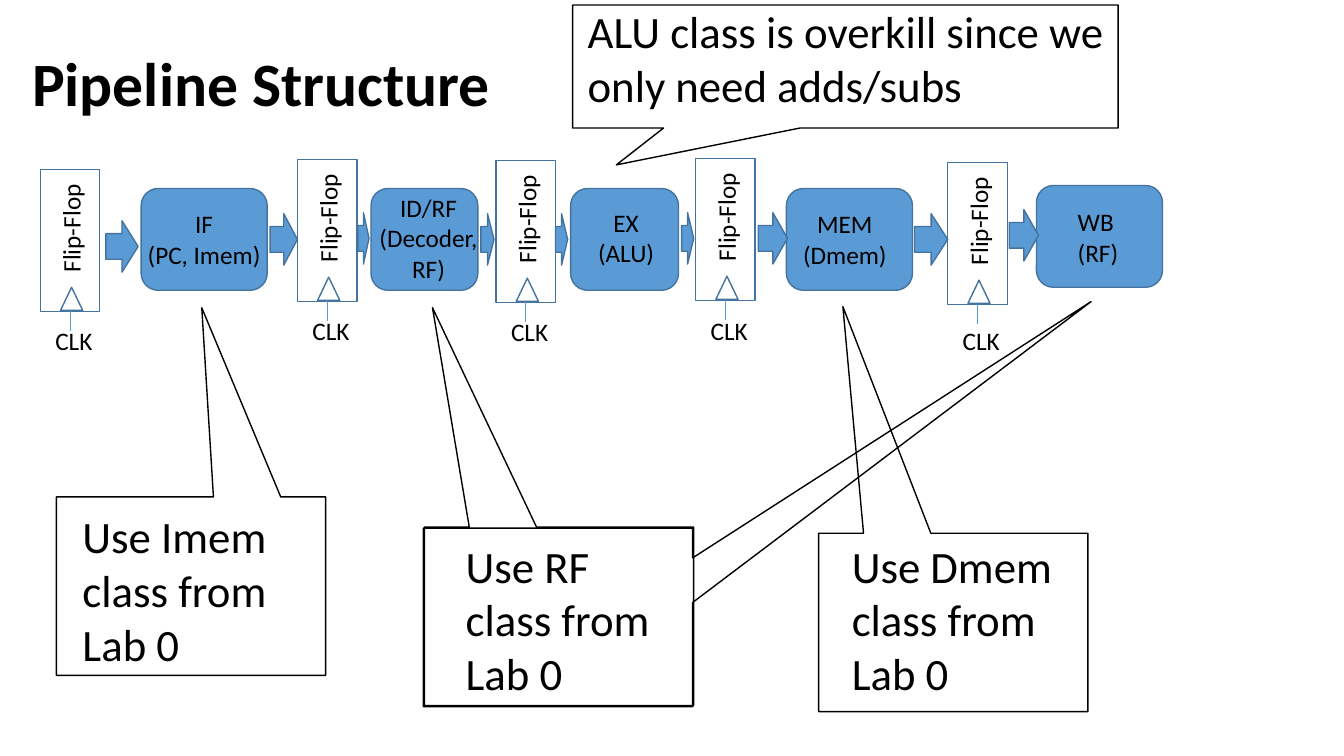
from lxml import etree
from pptx import Presentation
from pptx.dml.color import RGBColor
from pptx.enum import shapes, text
from pptx.oxml.ns import qn
from pptx.util import Inches, Pt

BLACK, BLUE, EDGE = "000000", "5B9BD5", "43739E"
Shape = shapes.MSO_SHAPE
LEFT, CENTER = text.PP_ALIGN.LEFT, text.PP_ALIGN.CENTER

deck = Presentation()
deck.slide_width, deck.slide_height = Inches(13.33), Inches(7.5)
page = deck.slides.add_slide(deck.slide_layouts[6])


def draw(kind, at, edge=EDGE, fill=None):
    shape = page.shapes.add_shape(kind, *map(Inches, at))
    shape.shadow.inherit = False
    if fill:
        shape.fill.solid()
        shape.fill.fore_color.rgb = RGBColor.from_string(fill)
    else:
        shape.fill.background()
    shape.line.color.rgb = RGBColor.from_string(edge)
    shape.line.width = Pt(1)
    return shape


def write(lines, at, size=18, wrap=False, align=LEFT):
    box = page.shapes.add_textbox(*map(Inches, at))
    frame = box.text_frame
    frame.word_wrap = wrap
    frame.auto_size = text.MSO_AUTO_SIZE.SHAPE_TO_FIT_TEXT
    for index, line in enumerate(lines):
        para = frame.paragraphs[0] if index == 0 else frame.add_paragraph()
        para.alignment = align
        span = para.add_run()
        span.text = line
        span.font.size = Pt(size)
        span.font.name = "Calibri"
        span.font.color.rgb = RGBColor.from_string(BLACK)
    return box


# Title
title = write(["Pipeline Structure"], (0.22, 0.13, 11.5, 1.45), 44, True)
title.text_frame.auto_size = text.MSO_AUTO_SIZE.NONE
title.text_frame.vertical_anchor = text.MSO_ANCHOR.MIDDLE
title.text_frame.paragraphs[0].line_spacing = 0.9
title.text_frame.paragraphs[0].runs[0].font.bold = True

# Pipeline stages: left, top, width, label lines, label place, wrap, alignment
stages = [
    (1.4, 1.87, 1.25, ["IF", "(PC, Imem)"], (1.36, 2.02, 1.33, 0.71), False, CENTER),
    (3.68, 1.87, 1.06, ["ID/RF", "(Decoder, RF)"], (3.64, 1.86, 1.22, 1.01), True, CENTER),
    (5.66, 1.87, 1.07, ["EX", "(ALU)"], (5.83, 2.01, 0.76, 0.71), False, CENTER),
    (7.8, 1.87, 1.25, ["MEM", "(Dmem)"], (7.86, 2.02, 1.04, 0.71), False, CENTER),
    (10.28, 1.84, 1.25, ["WB", "(RF)"], (10.59, 2, 0.61, 0.71), False, LEFT),
]
for left, top, width, lines, place, wrap, align in stages:
    draw(Shape.ROUNDED_RECTANGLE, (left, top, width, 1.01), fill=BLUE)
    write(lines, place, wrap=wrap, align=align)

# Flip-flops with clock inputs: left, top, clock label top
flip_flops = [(0.4, 1.68, 3.18), (2.95, 1.58, 3.08), (4.92, 1.59, 3.09),
              (6.9, 1.57, 3.08), (9.4, 1.61, 3.18)]
for left, top, label_top in flip_flops:
    register = draw(Shape.RECTANGLE, (left, top, 0.59, 1.41))
    draw(Shape.ISOSCELES_TRIANGLE, (left + 0.2, top + 1.17, 0.22, 0.23))
    name = write(["Flip-Flop"], (left - 0.24, top + 0.38, 1.08, 0.4))
    name.rotation = 270
    middle = Inches(left + 0.3)
    clock = page.shapes.add_connector(
        shapes.MSO_CONNECTOR.STRAIGHT,
        middle, Inches(top + 1.6), middle, Inches(top + 1.41))
    clock.end_connect(register, 2)
    clock.begin_x = clock.end_x
    clock.line.color.rgb = RGBColor.from_string(BLUE)
    clock.line.width = Pt(0.5)
    etree.SubElement(clock.element.spPr, qn("a:effectLst"))
    write(["CLK"], (left + 0.05, label_top, 0.58, 0.4))

# Arrows between stages: left, top, width
arrows = [(1.05, 2.19, 0.32), (2.68, 2.12, 0.27), (3.55, 2.11, 0.11),
          (4.77, 2.12, 0.13), (5.51, 2.12, 0.12), (6.76, 2.11, 0.12),
          (7.52, 2.11, 0.29), (9.07, 2.12, 0.33), (10.01, 2.08, 0.29)]
for left, top, width in arrows:
    draw(Shape.RIGHT_ARROW, (left, top, width, 0.51), fill=BLUE)

# Callout outlines: place, pointer tip relative to the centre
callouts = [
    ((0.56, 4.93, 2.67, 1.77), (0.04, -1.56)),
    ((4.21, 5.23, 2.67, 1.77), (-0.47, -1.73)),
    ((4.2, 5.24, 2.67, 1.77), (1.98, -1.77)),
    ((8.12, 5.29, 2.67, 1.77), (-0.41, -1.77)),
    ((5.68, 0.05, 5.41, 1.22), (-0.42, 0.8)),
]
for place, tip in callouts:
    callout = draw(Shape.RECTANGULAR_CALLOUT, place, BLACK)
    callout.adjustments[0], callout.adjustments[1] = tip

# Callout notes
notes = [
    ("Use Imem class from Lab 0", (0.72, 5, 2.3, 1.72)),
    ("Use RF class from Lab 0", (4.52, 5.29, 2.18, 1.72)),
    ("Use Dmem class from Lab 0", (8.35, 5.29, 2.3, 1.72)),
    ("ALU class is overkill since we only need adds/subs", (5.73, -0.01, 5.66, 1.18)),
]
for note, place in notes:
    write([note], place, 32, True)

deck.save("out.pptx")
